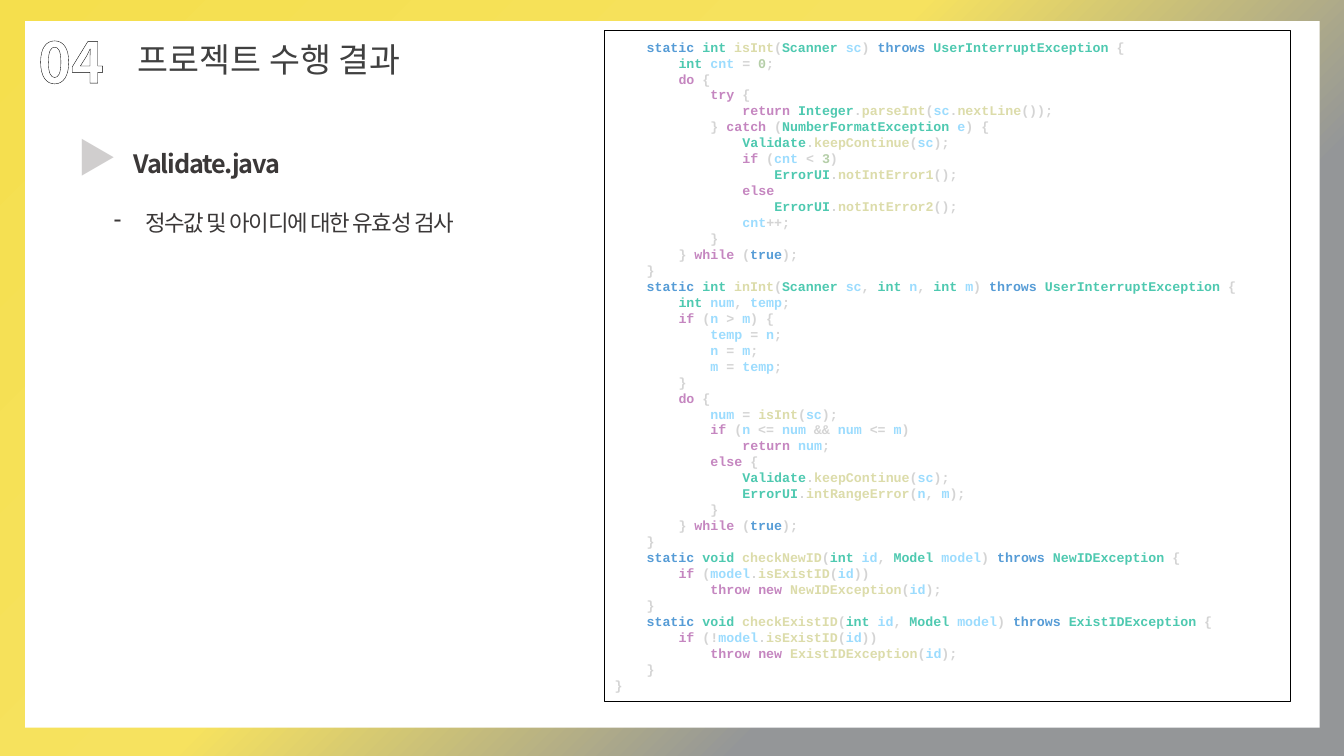
from copy import deepcopy
from itertools import groupby

from lxml.etree import SubElement
from pptx import Presentation
from pptx.dml.color import RGBColor
from pptx.enum.dml import MSO_PATTERN as Pattern
from pptx.enum.shapes import MSO_SHAPE as Shape
from pptx.enum.text import MSO_ANCHOR as Anchor, MSO_AUTO_SIZE as AutoSize, PP_ALIGN as Align
from pptx.oxml import parse_xml
from pptx.oxml.ns import nsdecls, qn
from pptx.util import Inches, Pt

YELLOW = RGBColor(0xF5, 0xDF, 0x4D)
PALE_YELLOW = RGBColor(0xF6, 0xE2, 0x5F)
PALE_GRAY = RGBColor(0x94, 0x96, 0x98)
GRAY = RGBColor(0x93, 0x95, 0x97)
SILVER = RGBColor(0xD0, 0xCE, 0xCE)
WHITE = RGBColor(0xFF, 0xFF, 0xFF)
BLACK = RGBColor(0, 0, 0)
INK = RGBColor(0x3B, 0x38, 0x38)
TITLE_INK = RGBColor(0x40, 0x40, 0x40)

PUNCTUATION = RGBColor(0xD4, 0xD4, 0xD4)
MODIFIER = RGBColor(0x56, 0x9C, 0xD6)
CONTROL = RGBColor(0xC5, 0x86, 0xC0)
TYPE = RGBColor(0x4E, 0xC9, 0xB0)
METHOD = RGBColor(0xDC, 0xDC, 0xAA)
VARIABLE = RGBColor(0x9C, 0xDC, 0xFE)
NUMBER = RGBColor(0xB5, 0xCE, 0xA8)

KEYWORDS = {
    **dict.fromkeys("static throws true".split(), MODIFIER),
    **dict.fromkeys("do try return catch if else while throw new".split(), CONTROL),
    **dict.fromkeys("int void".split(), TYPE),
}

BODY_FONT = "Noto Sans CJK KR"
CODE_SIZE = 9.5
CHAR_WIDTH = 0.6 * CODE_SIZE

IS_INT = """\
    static int isInt(Scanner sc) throws UserInterruptException {
        int cnt = 0;
        do {
            try {
                return Integer.parseInt(sc.nextLine());
            } catch (NumberFormatException e) {
                Validate.keepContinue(sc);
                if (cnt < 3)
                    ErrorUI.notIntError1();
                else
                    ErrorUI.notIntError2();
                cnt++;
            }
        } while (true);
    }"""
IN_INT = """\
    static int inInt(Scanner sc, int n, int m) throws UserInterruptException {
        int num, temp;
        if (n > m) {
            temp = n;
            n = m;
            m = temp;
        }
        do {
            num = isInt(sc);
            if (n <= num && num <= m)
                return num;
            else {
                Validate.keepContinue(sc);
                ErrorUI.intRangeError(n, m);
            }
        } while (true);
    }"""
CHECK_IDS = """\
    static void checkNewID(int id, Model model) throws NewIDException {
        if (model.isExistID(id))
            throw new NewIDException(id);
    }
    static void checkExistID(int id, Model model) throws ExistIDException {
        if (!model.isExistID(id))
            throw new ExistIDException(id);
    }
}"""

prs = Presentation()
prs.slide_width, prs.slide_height = Inches(13.33), Inches(7.5)
slide = prs.slides.add_slide(prs.slide_layouts[6])


def place(*percents):
    """Turn left, top, width, height in percent of the slide into lengths."""
    sides = (prs.slide_width, prs.slide_height) * 2
    return [int(side * percent / 100) for side, percent in zip(sides, percents)]


def token_color(token, following):
    if not token.isalnum():
        return PUNCTUATION
    if token in KEYWORDS:
        return KEYWORDS[token]
    if token.isdigit():
        return NUMBER
    if following.startswith("("):
        return METHOD
    return TYPE if token[0].isupper() else VARIABLE


# Background gradient
backdrop = slide.background.fill
backdrop.gradient()
backdrop.gradient_angle = 315
stop_list = next(slide.element.iter(qn("a:gsLst")))
for extra in [deepcopy(stop) for stop in stop_list]:
    stop_list.append(extra)
gradient = [(0, YELLOW), (0.44, PALE_YELLOW), (0.71, PALE_GRAY), (1, GRAY)]
for stop, (position, color) in zip(backdrop.gradient_stops, gradient):
    stop.position = position
    stop.color.rgb = color

# White page and code frame
page = slide.shapes.add_shape(Shape.RECTANGLE, *place(1.88, 2.8, 96.32, 93.47))
page.shadow.inherit = False
page.fill.solid()
page.fill.fore_color.rgb = WHITE
page.line.fill.background()

listing = slide.shapes.add_shape(Shape.RECTANGLE, *place(45, 4, 51, 88.8))
listing.shadow.inherit = False
listing.fill.background()
listing.line.color.rgb = BLACK
listing.line.width = Pt(0)
listing_text = listing.text_frame
listing_text.word_wrap = True
listing_text.vertical_anchor = Anchor.MIDDLE

# Code, one paragraph a line, coloured token by token
code_lines = "\n".join([IS_INT, IN_INT, CHECK_IDS]).splitlines()
for number, line in enumerate(code_lines):
    paragraph = listing_text.paragraphs[0] if number == 0 else listing_text.add_paragraph()
    paragraph.alignment = Align.LEFT
    paragraph.line_spacing = Pt(1.2 * CODE_SIZE)
    statement = line.lstrip()
    indent = Pt((len(line) - len(statement)) * CHAR_WIDTH)
    paragraph._p.get_or_add_pPr().set("marL", str(int(indent)))
    tokens = ["".join(chars) for _, chars in groupby(statement, str.isalnum)]
    for token, following in zip(tokens, tokens[1:] + [""]):
        run = paragraph.add_run()
        run.text = token
        for key, value in dict(name="Courier New", size=Pt(CODE_SIZE), bold=True).items():
            setattr(run.font, key, value)
        run.font.color.rgb = token_color(token, following)

# Headings: text, place, size, bold, colour, letter spacing, pattern back and outline
headings = [
    ("Validate.java", (9.23, 18.93, 60.84, 16.13), 18, True, INK, -0.9, None),
    ("▶", (5.03, 16.93, 4.13, 7.6), 28, True, GRAY, 0, (SILVER, GRAY, 1)),
    ("04", (2.1, 2.93, 9.53, 10.4), 40, True, INK, 0, (WHITE, BLACK, 1.25)),
    ("프로젝트 수행 결과", (9.53, 4.53, 24.23, 6.8), 24, False, TITLE_INK, 0, None),
    ("정수값 및 아이디에 대한 유효성 검사", (7.73, 25.2, 31.58, 6), 16, False, INK, -0.9, None),
]
for text, area, size, bold, color, spacing, hatch in headings:
    frame = slide.shapes.add_textbox(*place(*area)).text_frame
    frame.word_wrap = size != 24
    frame.auto_size = AutoSize.SHAPE_TO_FIT_TEXT
    paragraph = frame.paragraphs[0]
    run = paragraph.add_run()
    run.text = text
    for key, value in dict(name=BODY_FONT, size=Pt(size), bold=bold).items():
        setattr(run.font, key, value)
    properties = run._r.get_or_add_rPr()
    if spacing:
        properties.set("spc", str(round(spacing * 100)))
    if hatch:
        back, outline, width = hatch
        fill = run.font.fill
        fill.patterned()
        fill.pattern = Pattern.DARK_UPWARD_DIAGONAL
        fill.fore_color.rgb = color
        fill.back_color.rgb = back
        properties.insert(0, parse_xml(
            f'<a:ln {nsdecls("a")} w="{int(Pt(width))}"><a:solidFill>'
            f'<a:srgbClr val="{outline}"/></a:solidFill></a:ln>'))
    else:
        run.font.color.rgb = color
    SubElement(properties, qn("a:ea")).set("typeface", BODY_FONT)

# The last heading is a dashed list item
paragraph.line_spacing = 1.5
item = paragraph._p.get_or_add_pPr()
item.set("marL", str(int(Inches(0.31))))
item.set("indent", str(-int(Inches(0.31))))
SubElement(item, qn("a:buChar")).set("char", "-")

prs.save("out.pptx")
